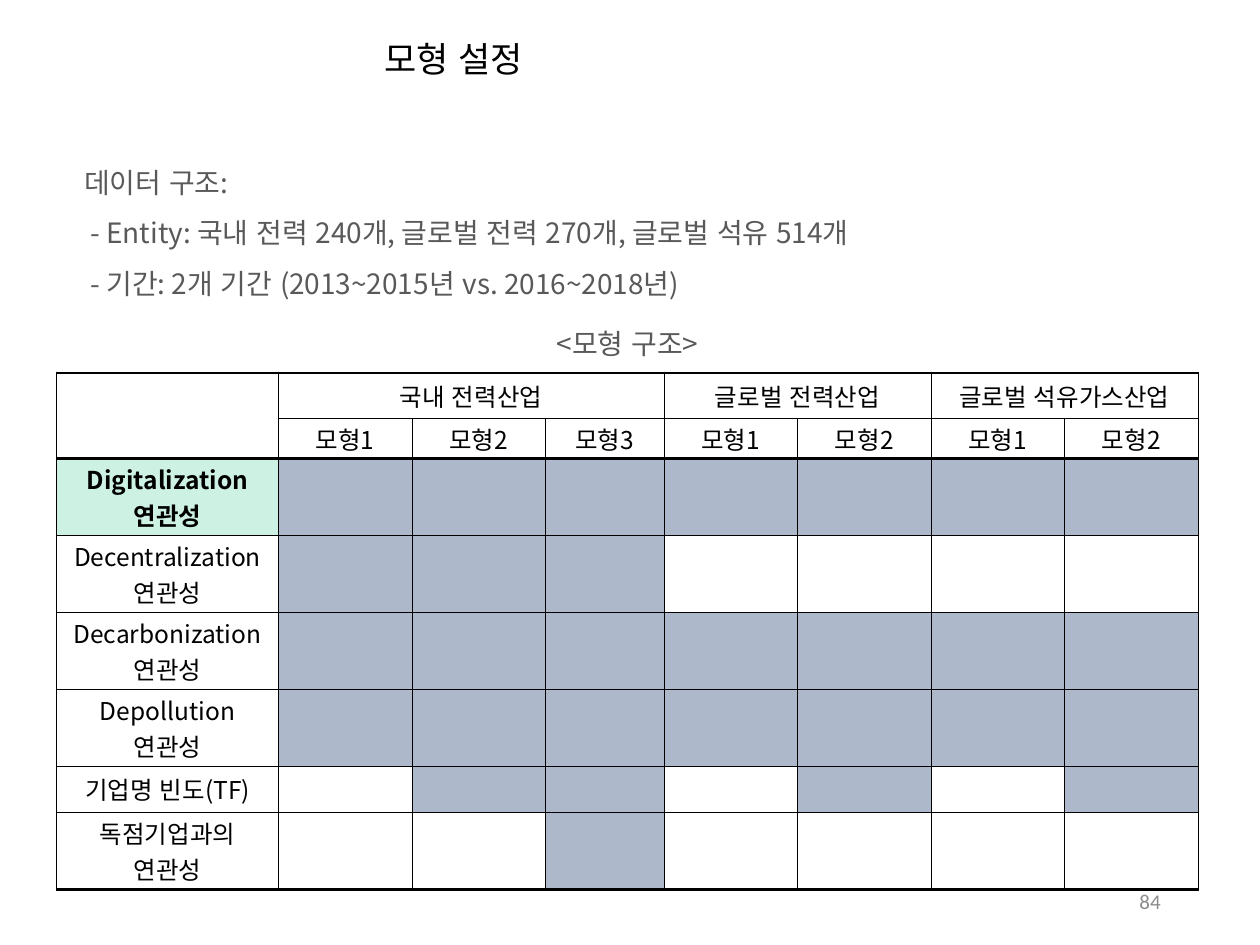
from lxml.etree import SubElement
from pptx import Presentation
from pptx.dml.color import RGBColor
from pptx.enum.lang import MSO_LANGUAGE_ID
from pptx.enum.text import MSO_ANCHOR, PP_ALIGN
from pptx.oxml.ns import qn
from pptx.util import Inches, Pt

WIDTH, HEIGHT = 10, 7.5
KOREAN_FONT = "Noto Sans CJK KR"
COLORS = {
    "black": "000000",
    "body": "595959",
    "number": "8C8C8C",
    "included": "ADB9CA",
    "highlight": "CDF2E4",
}
THIN, THICK = 0.28, 1.7

COLUMN_WIDTHS = [1.76, 1.06, 1.06, 0.94] + [1.06] * 4
ONE_LINE, TWO_LINES = 0.37, 0.61
ROW_HEIGHTS = [0.36, 0.32] + [TWO_LINES] * 4 + [ONE_LINE, TWO_LINES]
INDUSTRIES = [("국내 전력산업", 3), ("글로벌 전력산업", 2), ("글로벌 석유가스산업", 2)]
# One mark per model: x means that the variable is included
VARIABLES = [
    ("Digitalization 연관성", "xxxxxxx"),
    ("Decentralization 연관성", "xxx...."),
    ("Decarbonization 연관성", "xxxxxxx"),
    ("Depollution 연관성", "xxxxxxx"),
    ("기업명 빈도(TF)", ".xx.x.x"),
    ("독점기업과의 연관성", "..x...."),
]


def write_text(paragraph, text, size=14, color="black", font=KOREAN_FONT,
               align=PP_ALIGN.LEFT, bold=False, line_spacing=None):
    paragraph.alignment = align
    paragraph.line_spacing = line_spacing
    run = paragraph.add_run()
    run.text = text
    run.font.size = Pt(size)
    run.font.bold = bold
    run.font.language_id = MSO_LANGUAGE_ID.KOREAN
    run.font.color.rgb = RGBColor.from_string(COLORS[color])
    run.font.name = font
    SubElement(run.font._element, qn("a:ea")).set("typeface", font)


def add_text_box(slide, left, top, width, height):
    """Add a middle-anchored box, placed in inches, and return its text frame."""
    box = slide.shapes.add_textbox(*map(Inches, (left, top, width, height)))
    frame = box.text_frame
    frame.word_wrap = True
    frame.vertical_anchor = MSO_ANCHOR.MIDDLE
    return frame


def set_borders(cell, top, bottom):
    sides = {"lnL": THIN, "lnR": THIN, "lnT": top, "lnB": bottom}
    properties = cell._tc.get_or_add_tcPr()
    for side, points in sides.items():
        line = SubElement(properties, qn(f"a:{side}"), w=str(Pt(points)))
        fill = SubElement(line, qn("a:solidFill"))
        SubElement(fill, qn("a:srgbClr"), val=COLORS["black"])


def format_cell(cell, row, column):
    cell.margin_left = cell.margin_right = Inches(0.07)
    cell.margin_top = cell.margin_bottom = Inches(0.02)
    cell.vertical_anchor = MSO_ANCHOR.MIDDLE
    last_row = len(ROW_HEIGHTS) - 1
    thick_bottom = row in (1, last_row) or (row, column) == (0, 0)
    set_borders(cell, THICK if row in (0, 2) else THIN,
                THICK if thick_bottom else THIN)
    cell.fill.background()
    cell.text_frame.paragraphs[0].font.size = Pt(14)


def fill_cell(cell, color):
    cell.fill.solid()
    cell.fill.fore_color.rgb = RGBColor.from_string(COLORS[color])


def write_cell(cell, text, bold=False):
    write_text(cell.text_frame.paragraphs[0], text, align=PP_ALIGN.CENTER, bold=bold)


def write_header(table):
    table.cell(0, 0).merge(table.cell(1, 0))
    column = 1
    for industry, models in INDUSTRIES:
        first = table.cell(0, column)
        first.merge(table.cell(0, column + models - 1))
        write_cell(first, industry)
        for model in range(models):
            write_cell(table.cell(1, column + model), f"모형{model + 1}")
        column += models


def write_variables(table):
    for row, (variable, marks) in enumerate(VARIABLES, start=2):
        highlighted = row == 2
        write_cell(table.cell(row, 0), variable, bold=highlighted)
        if highlighted:
            fill_cell(table.cell(row, 0), "highlight")
        for column, mark in enumerate(marks, start=1):
            if mark == "x":
                fill_cell(table.cell(row, column), "included")


def add_model_table(slide):
    table = slide.shapes.add_table(
        len(ROW_HEIGHTS), len(COLUMN_WIDTHS), Inches(0.45), Inches(2.96),
        Inches(sum(COLUMN_WIDTHS)), Inches(sum(ROW_HEIGHTS))).table
    table.first_row = table.horz_banding = False
    for column, width in zip(table.columns, COLUMN_WIDTHS):
        column.width = Inches(width)
    for row, height in zip(table.rows, ROW_HEIGHTS):
        row.height = Inches(height)
    for row in range(len(ROW_HEIGHTS)):
        for column in range(len(COLUMN_WIDTHS)):
            format_cell(table.cell(row, column), row, column)
    write_header(table)
    write_variables(table)


def add_data_structure(slide):
    frame = add_text_box(slide, 0.57, 1.07, 8.82, 1.42)
    heading = frame.paragraphs[0]
    write_text(heading, "데이터 구조:", size=16, color="body", line_spacing=1.5)
    for text in (" - Entity: 국내 전력 240개, 글로벌 전력 270개, 글로벌 석유 514개",
                 " - 기간: 2개 기간 (2013~2015년 vs. 2016~2018년)"):
        write_text(frame.add_paragraph(), text, size=16, color="body",
                   align=PP_ALIGN.JUSTIFY, line_spacing=1.5)


def main():
    presentation = Presentation()
    presentation.slide_width = Inches(WIDTH)
    presentation.slide_height = Inches(HEIGHT)
    slide = presentation.slides.add_slide(presentation.slide_layouts[6])

    number = add_text_box(slide, 7.06, 6.95, 2.25, 0.4)
    write_text(number.paragraphs[0], "84", size=12, color="number",
               font="Calibri", align=PP_ALIGN.RIGHT)
    title = add_text_box(slide, 2.95, 0.25, 6.85, 0.43)
    write_text(title.paragraphs[0], "모형 설정", size=20)
    add_model_table(slide)
    add_data_structure(slide)
    caption = add_text_box(slide, 0.57, 2.51, 8.82, 0.43)
    write_text(caption.paragraphs[0], "<모형 구조>", size=16, color="body",
               align=PP_ALIGN.CENTER)

    presentation.save("out.pptx")


if __name__ == "__main__":
    main()
